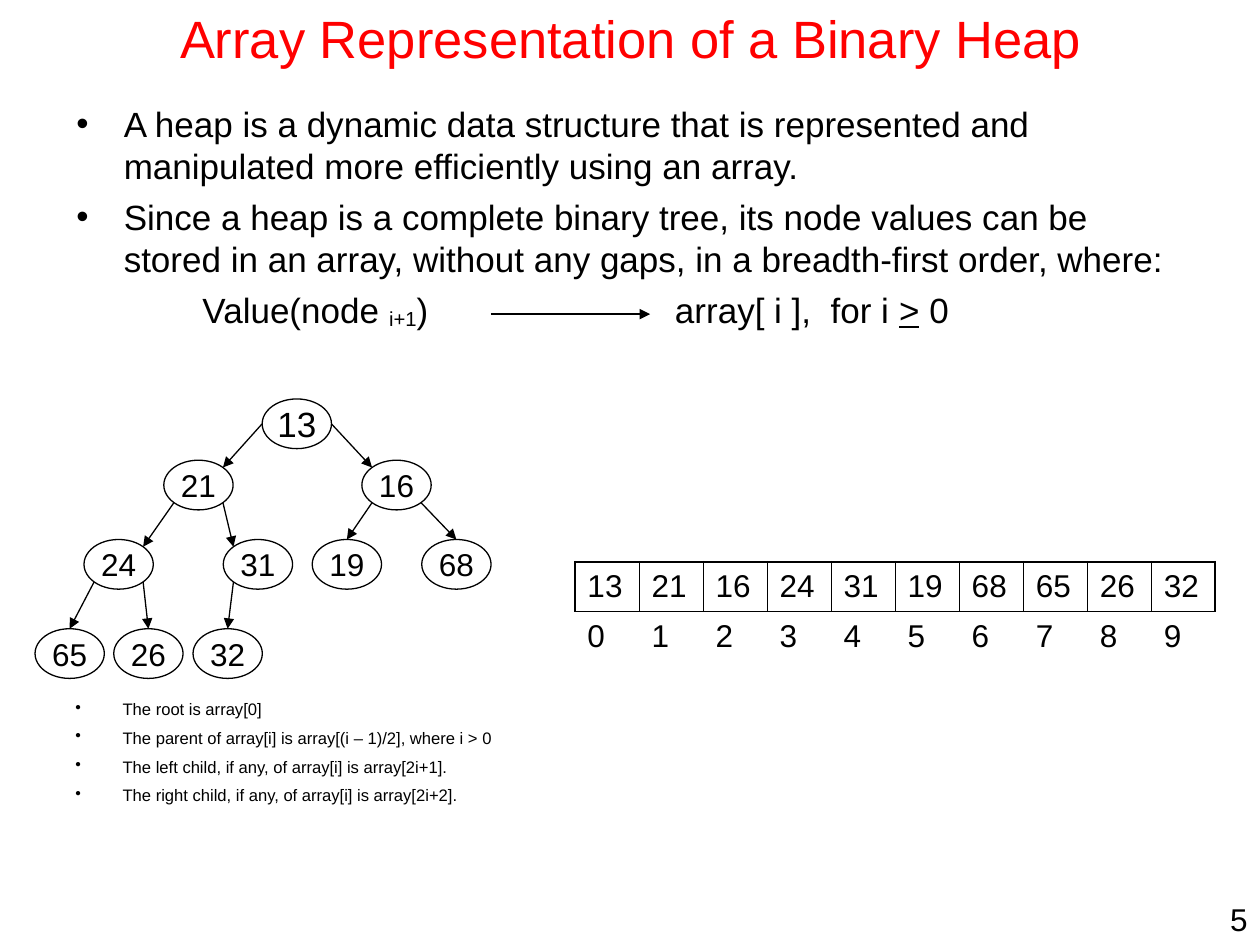
import math

import pptx
import pptx.dml.color
import pptx.enum.shapes
import pptx.enum.text
import pptx.oxml
import pptx.oxml.ns
import pptx.util
from pptx.util import Pt

FONT = "Arial"
BLACK = "000000"
RED = "FF0000"
ALIGN = pptx.enum.text.PP_ALIGN
MIDDLE = pptx.enum.text.MSO_ANCHOR.MIDDLE
LINE_WIDTH = 0.75
INDENT = 27

NODE_WIDTH, NODE_HEIGHT = 39.6, 28.4
# Node value: left and top within the tree's box
NODES = {
    13: (129.8, 0), 21: (73.6, 35), 16: (186.8, 35),
    24: (28, 80.3), 31: (107.6, 80.3), 19: (158.4, 80.3), 68: (221, 80.3),
    65: (0, 131.3), 26: (45, 131.3), 32: (90.3, 131.3),
}
# Parent, angle where the edge leaves it, child, angle where it arrives
EDGES = [
    (13, 180, 21, 45), (13, 0, 16, 135),
    (21, 225, 24, 45), (21, 315, 31, 135),
    (16, 225, 19, 90), (16, 315, 68, 90),
    (24, 225, 65, 90), (24, 315, 26, 90), (31, 225, 32, 90),
]
RULES = [
    "The root is array[0]",
    "The parent of array[i] is array[(i – 1)/2], where i > 0",
    "The left child, if any, of array[i] is array[2i+1].",
    "The right child, if any, of array[i] is array[2i+2].",
]
FACTS = [
    "A heap is a dynamic data structure that is represented and "
    "manipulated more efficiently using an array.",
    "Since a heap is a complete binary tree, its node values can be stored "
    "in an array, without any gaps, in a breadth-first order, where:",
]


def rgb(color):
    return pptx.dml.color.RGBColor.from_string(color)


def add_child(parent, xml):
    """Append an element of the drawing namespace."""
    element = pptx.oxml.parse_xml(
        xml.replace(" ", f" {pptx.oxml.ns.nsdecls('a')} ", 1))
    parent.append(element)
    return element


def add_run(paragraph, text, size, color=BLACK):
    run = paragraph.add_run()
    run.text = text
    run.font.name = FONT
    run.font.size = Pt(size)
    run.font.color.rgb = rgb(color)
    return run


def place(part, box):
    part.left, part.top, part.width, part.height = map(Pt, box)


def set_indent(paragraph, left, first):
    properties = paragraph._p.get_or_add_pPr()
    properties.set("marL", str(Pt(left)))
    properties.set("indent", str(Pt(first)))
    return properties


def add_bullets(frame, items, size):
    for number, item in enumerate(items):
        paragraph = frame.add_paragraph() if number else frame.paragraphs[0]
        properties = set_indent(paragraph, INDENT, -INDENT)
        paragraph.space_before = Pt(5 if number else 0)
        add_child(properties, '<a:buChar char="•"/>')
        add_run(paragraph, item, size)


def add_arrow(slide, start, end):
    arrow = slide.shapes.add_connector(
        pptx.enum.shapes.MSO_CONNECTOR.STRAIGHT, *map(Pt, (*start, *end)))
    arrow.line.color.rgb = rgb(BLACK)
    arrow.line.width = Pt(LINE_WIDTH)
    add_child(arrow.line._get_or_add_ln(), '<a:tailEnd type="triangle"/>')
    add_child(arrow._element.spPr, "<a:effectLst />")


def add_title(slide, box):
    title = slide.shapes.title
    place(title, box)
    frame = title.text_frame
    frame.auto_size = pptx.enum.text.MSO_AUTO_SIZE.NONE
    frame.vertical_anchor = MIDDLE
    frame.paragraphs[0].alignment = ALIGN.CENTER
    add_run(frame.paragraphs[0], "Array Representation of a Binary Heap", 30, RED)


def add_facts(slide, box):
    body = slide.placeholders[1]
    place(body, box)
    frame = body.text_frame
    frame.auto_size = pptx.enum.text.MSO_AUTO_SIZE.NONE
    add_bullets(frame, FACTS, 20)

    mapping = frame.add_paragraph()
    mapping.level = 2
    properties = set_indent(mapping, 90, -18)
    mapping.space_before = Pt(5)
    add_child(properties, "<a:buNone />")
    stops = add_child(properties, "<a:tabLst />")
    for inch in range(2, 9):
        add_child(stops, f'<a:tab pos="{Pt(72 * inch)}" algn="l"/>')
    add_run(mapping, "Value(node ", 20)
    subscript = add_run(mapping, "i+1", 20)
    subscript._r.get_or_add_rPr().set("baseline", "-10000")
    add_run(mapping, ") \t\t\t\tarray[ i ],  for i ", 20)
    add_run(mapping, ">", 20).font.underline = True
    add_run(mapping, " 0", 20)

    left, top = box[:2]
    add_arrow(slide, (left + 244, top + 124.5), (left + 335, top + 124.5))


def add_tree(slide, left, top):
    def rim(value, angle):
        x, y = NODES[value]
        turn = math.radians(angle)
        return (round(left + x + NODE_WIDTH / 2 * (1 + math.cos(turn)), 2),
                round(top + y + NODE_HEIGHT / 2 * (1 - math.sin(turn)), 2))

    for value, (x, y) in NODES.items():
        node = slide.shapes.add_shape(
            pptx.enum.shapes.MSO_SHAPE.OVAL,
            *map(Pt, (left + x, top + y, NODE_WIDTH, NODE_HEIGHT)))
        node.shadow.inherit = False
        node.fill.background()
        node.line.color.rgb = rgb(BLACK)
        node.line.width = Pt(LINE_WIDTH)
        frame = node.text_frame
        frame.word_wrap = False
        frame.vertical_anchor = MIDDLE
        frame.paragraphs[0].alignment = ALIGN.CENTER
        add_run(frame.paragraphs[0], str(value), 20 if value == 13 else 18)
    for parent, leaving, child, arriving in EDGES:
        add_arrow(slide, rim(parent, leaving), rim(child, arriving))


def set_border(cell, side, width):
    border = add_child(cell._tc.get_or_add_tcPr(),
                       f'<a:ln{side} w="{Pt(width)}"/>')
    if width:
        fill = add_child(border, "<a:solidFill />")
        add_child(fill, f'<a:srgbClr val="{BLACK}"/>')
    else:
        add_child(border, "<a:noFill />")


def add_array_row(slide, box, values, outer=0, inner=0):
    """Add a one-row table; a border width of 0 leaves the border out."""
    table = slide.shapes.add_table(1, len(values), *map(Pt, box)).table
    table.first_row = table.horz_banding = False
    last = len(values) - 1
    for number, value in enumerate(values):
        table.columns[number].width = Pt(box[2] / len(values))
        cell = table.cell(0, number)
        set_border(cell, "L", inner if number else outer)
        set_border(cell, "R", inner if number < last else outer)
        set_border(cell, "T", outer)
        set_border(cell, "B", outer)
        cell.fill.background()
        cell.vertical_anchor = MIDDLE
        add_run(cell.text_frame.paragraphs[0], str(value), 18)


def add_text_box(slide, box):
    frame = slide.shapes.add_textbox(*map(Pt, box)).text_frame
    frame.word_wrap = True
    return frame


def add_page_number(slide, box):
    paragraph = add_text_box(slide, box).paragraphs[0]
    paragraph.alignment = ALIGN.RIGHT
    add_run(paragraph, "5", 18)


def main():
    deck = pptx.Presentation()
    deck.slide_width, deck.slide_height = Pt(720), Pt(540)
    slide = deck.slides.add_slide(deck.slide_layouts[1])
    add_title(slide, (36.5, 0, 648, 43))
    add_facts(slide, (36.5, 55, 648, 147.5))
    add_tree(slide, 20, 228)
    add_array_row(slide, (328.5, 321, 366, 28.5), list(NODES), 1.08, 0.45)
    add_array_row(slide, (328.5, 349.5, 366, 28.5), range(len(NODES)))
    add_bullets(add_text_box(slide, (36, 396, 648, 79)), RULES, 9.5)
    add_page_number(slide, (682, 511, 38, 29))
    deck.save("out.pptx")


if __name__ == "__main__":
    main()
